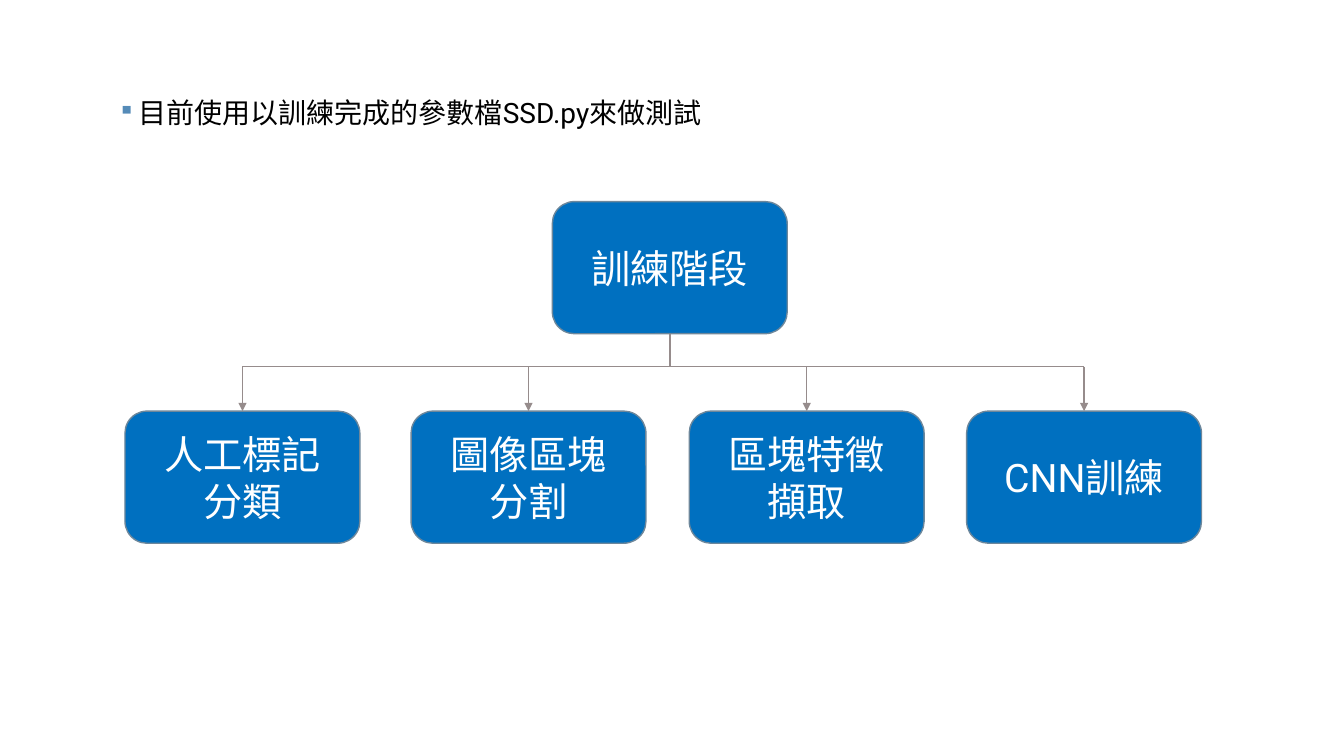
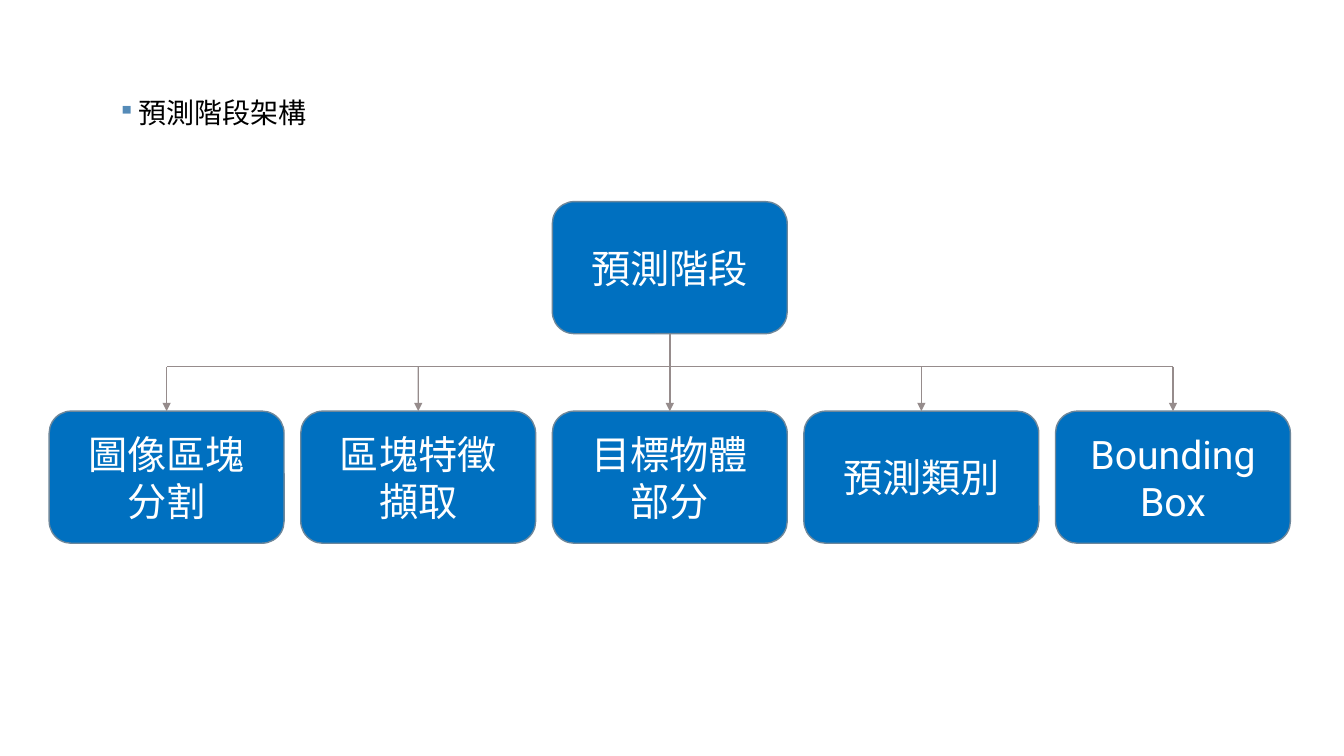
from pptx import Presentation
from pptx.dml.color import RGBColor
from pptx.enum.shapes import MSO_CONNECTOR, MSO_SHAPE
from pptx.enum.text import MSO_ANCHOR, PP_ALIGN
from pptx.oxml.ns import qn
from pptx.util import Cm, Pt
from lxml.etree import SubElement

BLUE = RGBColor(0x00, 0x70, 0xC0)
EDGE = RGBColor(0x6D, 0x87, 0x9B)
GRAY = RGBColor(0x96, 0x8C, 0x8C)
MARK = RGBColor(0x55, 0x8B, 0xB8)
WHITE = RGBColor(0xFF, 0xFF, 0xFF)
BLACK = RGBColor(0x00, 0x00, 0x00)
FONT = "Roboto"

BOX_W, BOX_H = 5.92, 3.33
ROOT_X, ROOT_Y = 13.92, 5.08
BUS_Y, ROW_Y = 9.24, 10.36
TRAIN_X = [3.15, 10.36, 17.37, 24.36]
TEST_X = [round(1.24 + 6.34 * i, 2) for i in range(5)]


def style(para, size, color):
    para.font.name = FONT
    para.font.size = Pt(size)
    para.font.color.rgb = color


def add_head(slide, text):
    frame = slide.shapes.add_textbox(Cm(2.72), Cm(2.39), Cm(18.16), Cm(1.47)).text_frame
    frame.word_wrap = True
    para = frame.paragraphs[0]
    para.text = text
    para.line_spacing = 0.9
    para.space_before = Pt(12)
    style(para, 20, BLACK)
    props = para._p.get_or_add_pPr()
    props.set("marL", str(Cm(0.51)))
    props.set("indent", str(Cm(-0.51)))
    tint = SubElement(props, qn("a:buClr"))
    SubElement(tint, qn("a:srgbClr"), val=str(MARK))
    SubElement(props, qn("a:buSzPct"), val="85000")
    SubElement(props, qn("a:buChar"), char="▪")


def add_box(slide, left, top, text):
    box = slide.shapes.add_shape(
        MSO_SHAPE.ROUNDED_RECTANGLE, Cm(left), Cm(top), Cm(BOX_W), Cm(BOX_H))
    box.shadow.inherit = False
    box.fill.solid()
    box.fill.fore_color.rgb = BLUE
    box.line.color.rgb = EDGE
    box.line.width = Pt(1)
    frame = box.text_frame
    frame.text = text
    frame.vertical_anchor = MSO_ANCHOR.MIDDLE
    for para in frame.paragraphs:
        para.alignment = PP_ALIGN.CENTER
        style(para, 28, WHITE)
    return box


def add_line(slide, start, end, above=None, below=None):
    line = slide.shapes.add_connector(
        MSO_CONNECTOR.STRAIGHT, *map(Cm, start), *map(Cm, end))
    line.line.color.rgb = GRAY
    line.line.width = Pt(1)
    props = line._element.spPr
    if above:
        line.begin_connect(above, 2)
    if below:
        line.end_connect(below, 0)
        SubElement(props.find(qn("a:ln")), qn("a:tailEnd"), type="triangle")
    SubElement(props, qn("a:effectLst"))


def add_tree(slide, title, steps, lefts):
    root = add_box(slide, ROOT_X, ROOT_Y, title)
    mid = ROOT_X + BOX_W / 2
    foot = (mid, ROOT_Y + BOX_H)
    for left, step in zip(lefts, steps):
        box = add_box(slide, left, ROW_Y, step)
        x = left + BOX_W / 2
        if left == ROOT_X:
            add_line(slide, foot, (x, ROW_Y), root, box)
        else:
            add_line(slide, (x, BUS_Y), (x, ROW_Y), below=box)
    if ROOT_X not in lefts:
        add_line(slide, foot, (mid, BUS_Y), above=root)
    for left in (lefts[0], lefts[-1]):
        add_line(slide, (mid, BUS_Y), (left + BOX_W / 2, BUS_Y))


def main():
    deck = Presentation()
    deck.slide_width, deck.slide_height = Cm(33.87), Cm(19.05)
    pages = [
        ("目前使用以訓練完成的參數檔SSD.py來做測試", "訓練階段",
         ["人工標記\n分類", "圖像區塊\n分割", "區塊特徵\n擷取", "CNN訓練"], TRAIN_X),
        ("預測階段架構", "預測階段",
         ["圖像區塊\n分割", "區塊特徵\n擷取", "目標物體\n部分", "預測類別", "Bounding\nBox"],
         TEST_X),
    ]
    for head, title, steps, lefts in pages:
        slide = deck.slides.add_slide(deck.slide_layouts[6])
        add_head(slide, head)
        add_tree(slide, title, steps, lefts)
    deck.save("out.pptx")


if __name__ == "__main__":
    main()
